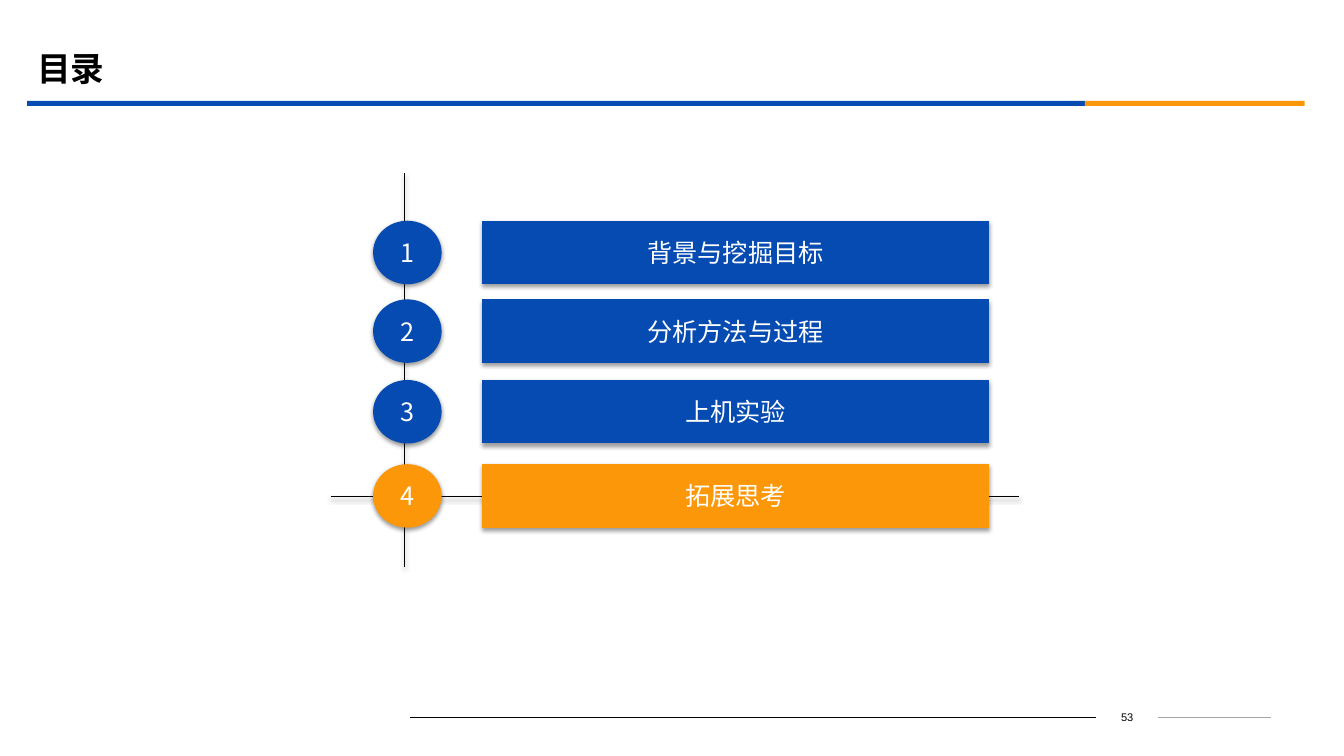
from dataclasses import dataclass
from lxml import etree
from pptx import Presentation
from pptx import util as u
from pptx.dml.color import RGBColor
from pptx.enum import shapes, text
from pptx.oxml.ns import qn


@dataclass(frozen=True)
class Theme:
    blue: str = "064BB2"
    orange: str = "FB9708"
    black: str = "000000"
    grey: str = "A6A6A6"
    white: str = "FFFFFF"
    latin: str = "Calibri"
    chinese: str = "Noto Sans CJK SC"
    number: str = "Arial"
    title_size: float = 24
    item_size: float = 18
    number_size: float = 7.9
    line_width: float = 0.75


THEME = Theme()
AGENDA = [
    ("背景与挖掘目标", 0.47, THEME.blue),
    ("分析方法与过程", 1.25, THEME.blue),
    ("上机实验", 2.05, THEME.blue),
    ("拓展思考", 2.885, THEME.orange),
]


def style_text(frame, words, size, color, font, bold=False, align=text.PP_ALIGN.CENTER):
    frame.text = words
    frame.vertical_anchor = text.MSO_ANCHOR.MIDDLE
    para = frame.paragraphs[0]
    para.alignment = align
    span = para.runs[0]
    span.font.size = u.Pt(size)
    span.font.bold = bold
    span.font.name = font
    span.font.color.rgb = RGBColor.from_string(color)
    east_asian = etree.SubElement(span.font._element, qn("a:ea"))
    east_asian.set("typeface", THEME.chinese)


def set_effects(item, shadowed):
    effects = etree.SubElement(item._element.spPr, qn("a:effectLst"))
    if shadowed:
        shadow = etree.SubElement(effects, qn("a:outerShdw"), blurRad="40000",
                                  dist="20000", dir="5400000", rotWithShape="0")
        color = etree.SubElement(shadow, qn("a:srgbClr"), val=THEME.black)
        etree.SubElement(color, qn("a:alpha"), val="38000")


def add_block(slide, kind, left, top, width, height, color, shadowed=False):
    block = slide.shapes.add_shape(
        kind, *(u.Inches(size) for size in (left, top, width, height)))
    block.fill.solid()
    block.fill.fore_color.rgb = RGBColor.from_string(color)
    block.line.fill.background()
    set_effects(block, shadowed)
    return block


def add_rule(slide, left, top, right, bottom, color, shadowed=False):
    rule = slide.shapes.add_connector(
        shapes.MSO_CONNECTOR.STRAIGHT,
        *(u.Inches(place) for place in (left, top, right, bottom)))
    rule.line.color.rgb = RGBColor.from_string(color)
    rule.line.width = u.Pt(THEME.line_width)
    set_effects(rule, shadowed)


def add_header(slide, left, top, width):
    title = slide.shapes.title
    title.left, title.top = u.Inches(left), u.Inches(top)
    title.width, title.height = u.Inches(12), u.Inches(0.58)
    style_text(title.text_frame, "目录", THEME.title_size, THEME.black,
               THEME.latin, True, text.PP_ALIGN.LEFT)
    blue_width = 10.49
    bar = shapes.MSO_SHAPE.RECTANGLE
    add_block(slide, bar, left, top + 0.61, blue_width, 0.05, THEME.blue)
    add_block(slide, bar, left + blue_width, top + 0.61, width - blue_width, 0.05,
              THEME.orange)


def add_agenda(slide, left, top, width, height):
    axis, current = left + 0.73, top + 3.21
    add_rule(slide, axis, top, axis, top + height, THEME.black, True)
    add_rule(slide, left, current, left + width, current, THEME.black, True)
    for number, (topic, offset, color) in enumerate(AGENDA, 1):
        parts = [
            (shapes.MSO_SHAPE.OVAL, 0.42, 0.68, str(number)),
            (shapes.MSO_SHAPE.ACTION_BUTTON_CUSTOM, 1.5, 5.03, topic),
        ]
        for kind, indent, part_width, words in parts:
            block = add_block(slide, kind, left + indent, top + offset,
                              part_width, 0.63, color, True)
            block.text_frame.word_wrap = False
            style_text(block.text_frame, words, THEME.item_size, THEME.white,
                       THEME.chinese)


def add_footer(slide, left, top, width):
    number_left, number_width = left + 6.8, 0.62
    add_rule(slide, left, top, number_left, top, THEME.black)
    add_rule(slide, number_left + number_width, top, left + width, top, THEME.grey)
    box = slide.shapes.add_textbox(u.Inches(number_left), u.Inches(top - 0.13),
                                   u.Inches(number_width), u.Inches(0.25))
    box.text_frame.word_wrap = True
    style_text(box.text_frame, "53", THEME.number_size, THEME.black, THEME.number)


def main():
    deck = Presentation()
    deck.slide_width, deck.slide_height = u.Inches(13.33), u.Inches(7.5)
    slide = deck.slides.add_slide(deck.slide_layouts[5])
    add_header(slide, 0.27, 0.39, 12.67)
    add_agenda(slide, 3.28, 1.72, 6.83, 3.91)
    add_footer(slide, 4.07, 7.12, 8.54)
    deck.save("out.pptx")


if __name__ == "__main__":
    main()
